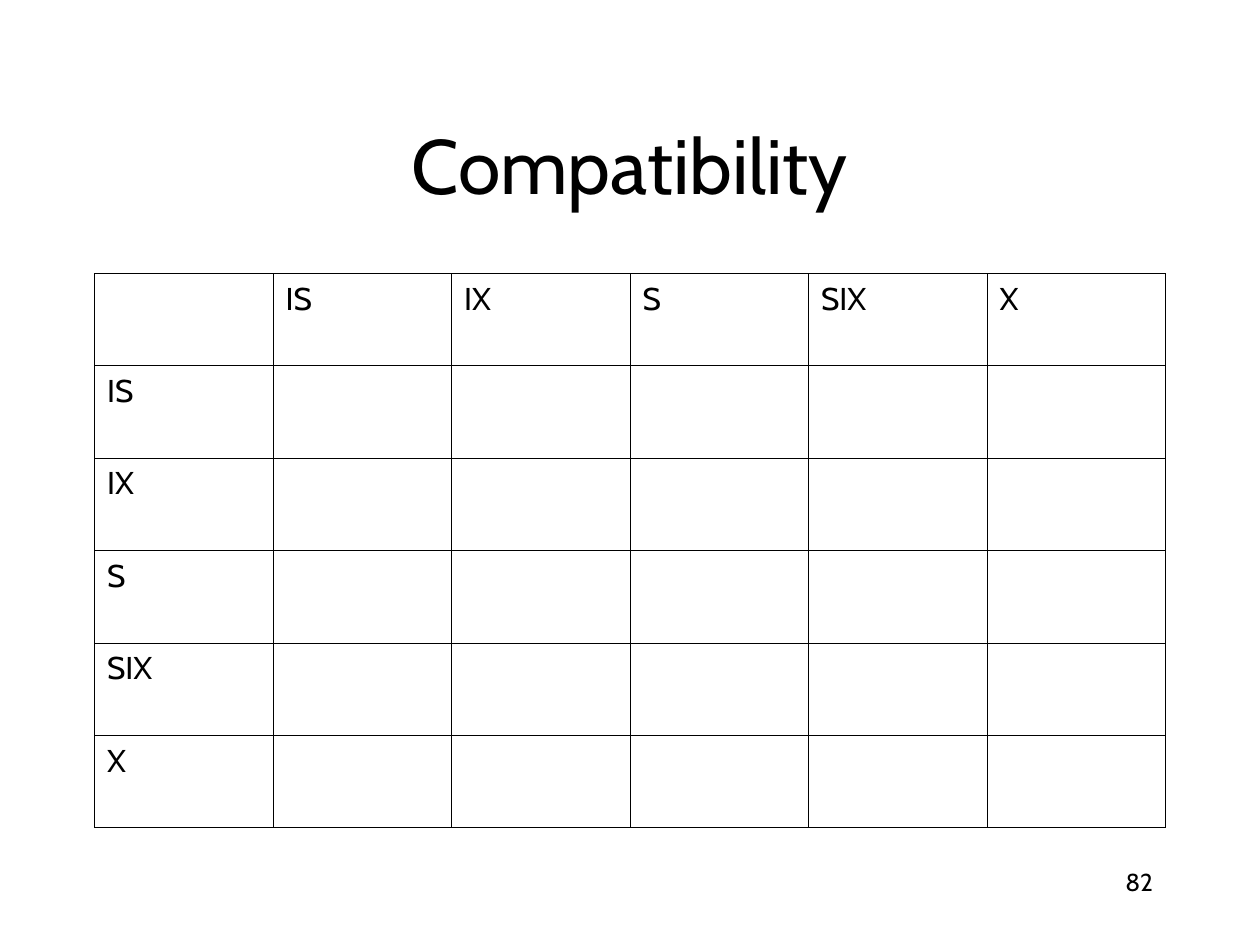
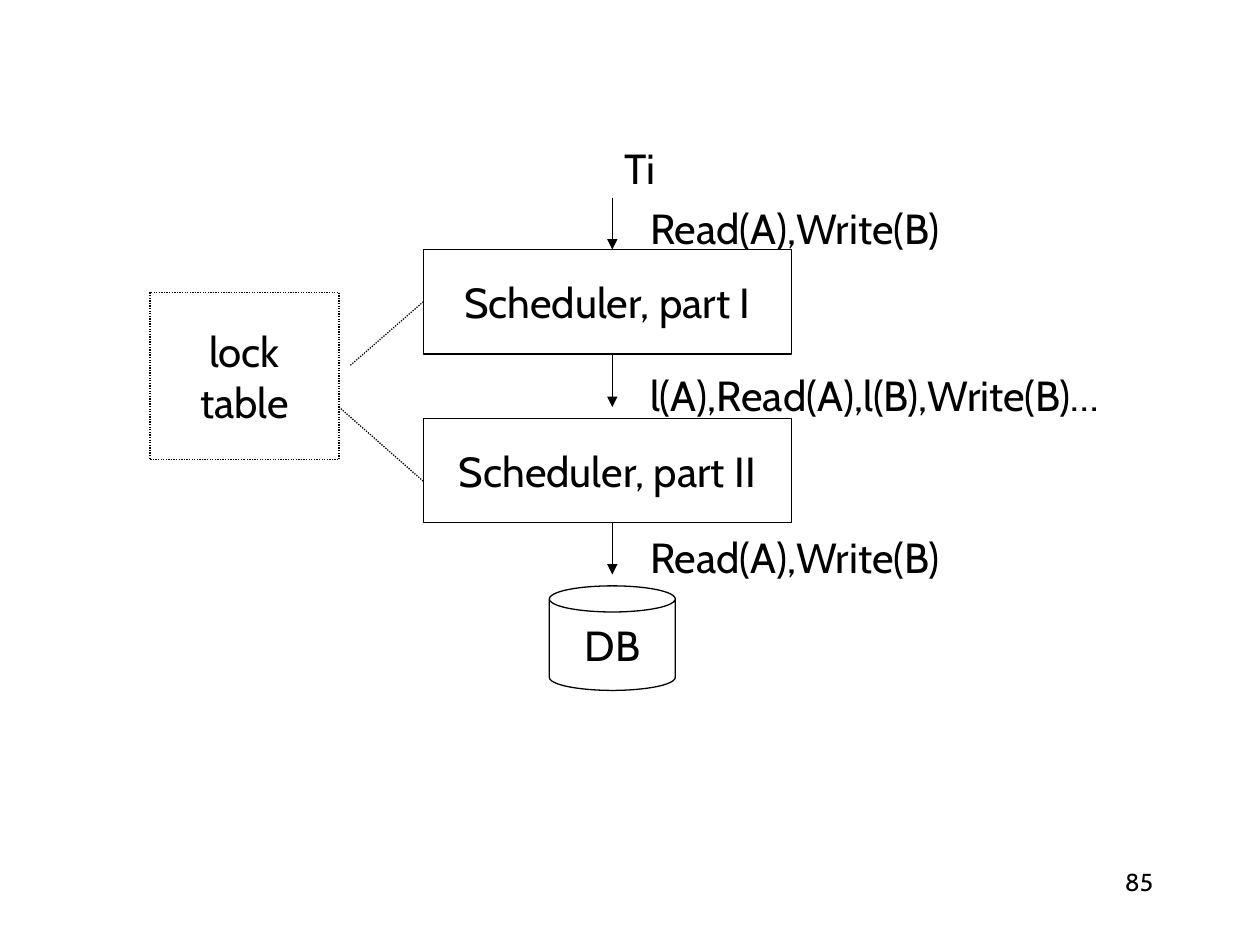
from dataclasses import dataclass

from pptx import Presentation
from pptx.dml.color import RGBColor
from pptx.enum.dml import MSO_LINE
from pptx.enum.shapes import MSO_CONNECTOR, MSO_SHAPE
from pptx.enum.text import MSO_ANCHOR, PP_ALIGN
from pptx.oxml import parse_xml
from pptx.oxml.ns import nsdecls, qn
from pptx.util import Inches, Pt


@dataclass(frozen=True)
class Theme:
    font: str = "Cabin"
    ink: RGBColor = RGBColor(0, 0, 0)
    paper: RGBColor = RGBColor(255, 255, 255)
    title: int = 44
    body: int = 24
    cell: int = 18
    foot: int = 14
    line: float = 0.75
    grid: float = 0.45


THEME = Theme()
MODES = ["IS", "IX", "S", "SIX", "X"]
FLOW_X = 4.86


def write(frame, lines, size, align=PP_ALIGN.LEFT):
    for i, line in enumerate(lines):
        para = frame.add_paragraph() if i else frame.paragraphs[0]
        para.alignment = align
        run = para.add_run()
        run.text = line
        run.font.size = Pt(size)
        run.font.name = THEME.font
        run.font.color.rgb = THEME.ink


def add_text(slide, text, box, size, align=PP_ALIGN.LEFT, anchor=MSO_ANCHOR.MIDDLE, inset=0.1):
    frame = slide.shapes.add_textbox(*map(Inches, box)).text_frame
    frame.word_wrap = True
    frame.vertical_anchor = anchor
    frame.margin_left = frame.margin_right = Inches(inset)
    write(frame, [text], size, align)


def add_slide(deck, number):
    """Add a blank slide with its page number."""
    slide = deck.slides.add_slide(deck.slide_layouts[6])
    add_text(slide, str(number), (7.17, 6.83, 2.08, 0.5), THEME.foot,
             PP_ALIGN.RIGHT, MSO_ANCHOR.TOP)
    return slide


def draw_line(line, dotted):
    line.color.rgb = THEME.ink
    line.width = Pt(THEME.line)
    if dotted:
        line.dash_style = MSO_LINE.ROUND_DOT


def add_box(slide, lines, box, kind=MSO_SHAPE.RECTANGLE, dotted=False):
    shape = slide.shapes.add_shape(kind, *map(Inches, box))
    shape.shadow.inherit = False
    shape.fill.solid()
    shape.fill.fore_color.rgb = THEME.paper
    draw_line(shape.line, dotted)
    shape.text_frame.word_wrap = False
    shape.text_frame.vertical_anchor = MSO_ANCHOR.MIDDLE
    write(shape.text_frame, lines, THEME.body, PP_ALIGN.CENTER)
    return shape


def add_link(slide, start, end, arrow=False):
    """Add a solid arrow or a dotted plain line."""
    link = slide.shapes.add_connector(MSO_CONNECTOR.STRAIGHT, *map(Inches, start + end))
    draw_line(link.line, not arrow)
    props = link._element.spPr
    if arrow:
        props.find(qn("a:ln")).append(
            parse_xml(f'<a:tailEnd {nsdecls("a")} type="triangle"/>'))
    props.append(parse_xml(f'<a:effectLst {nsdecls("a")}/>'))
    return link


def frame_cell(cell):
    """Give a cell a plain fill and thin lines on all sides."""
    cell.fill.solid()
    cell.fill.fore_color.rgb = THEME.paper
    props = cell._tc.get_or_add_tcPr()
    for i, side in enumerate("LRTB"):
        props.insert(i, parse_xml(
            f'<a:ln{side} {nsdecls("a")} w="{Pt(THEME.grid)}"><a:solidFill>'
            f'<a:srgbClr val="{THEME.ink}"/></a:solidFill></a:ln{side}>'))


def add_grid(slide, heads, box):
    """Add a square table with the same heads on top and at the left."""
    count = len(heads) + 1
    table = slide.shapes.add_table(count, count, *map(Inches, box)).table
    table.first_row = table.horz_banding = False
    for cell in table.iter_cells():
        frame_cell(cell)
    for i, head in enumerate(heads, 1):
        for cell in (table.cell(0, i), table.cell(i, 0)):
            write(cell.text_frame, [head], THEME.cell)


def build_modes(deck):
    slide = add_slide(deck, 82)
    add_text(slide, "Compatibility", (0.75, 0.67, 8.5, 1.25), THEME.title, PP_ALIGN.CENTER)
    add_grid(slide, MODES, (0.75, 2.17, 8.5, 4.4))


def build_flow(deck):
    slide = add_slide(deck, 85)
    labels = [("Ti", 4.96, 1.33), ("Read(A),Write(B)", 5.16, 1.81),
              ("l(A),Read(A),l(B),Write(B)…", 5.16, 3.13), ("Read(A),Write(B)", 5.16, 4.42)]
    for text, left, mid in labels:
        add_text(slide, text, (left, mid - 0.25, 4.2, 0.5), THEME.body, inset=0)

    first = add_box(slide, ["Scheduler, part I"], (3.36, 1.98, 2.92, 0.83))
    add_box(slide, ["Scheduler, part II"], (3.36, 3.32, 2.92, 0.83))
    add_box(slide, ["DB"], (FLOW_X - 0.5, 4.65, 1, 0.83), MSO_SHAPE.CAN)
    add_box(slide, ["lock", "table"], (1.19, 2.32, 1.5, 1.33), dotted=True)

    for top in (1.57, 2.82, 4.15):
        add_link(slide, (FLOW_X, top), (FLOW_X, top + 0.41), arrow=True)
    add_link(slide, (3.36, 2.4), (2.78, 2.9)).begin_connect(first, 1)
    add_link(slide, (2.69, 3.23), (3.36, 3.82))


def main():
    deck = Presentation()
    deck.slide_width, deck.slide_height = Inches(10), Inches(7.5)
    build_modes(deck)
    build_flow(deck)
    deck.save("out.pptx")


if __name__ == "__main__":
    main()
